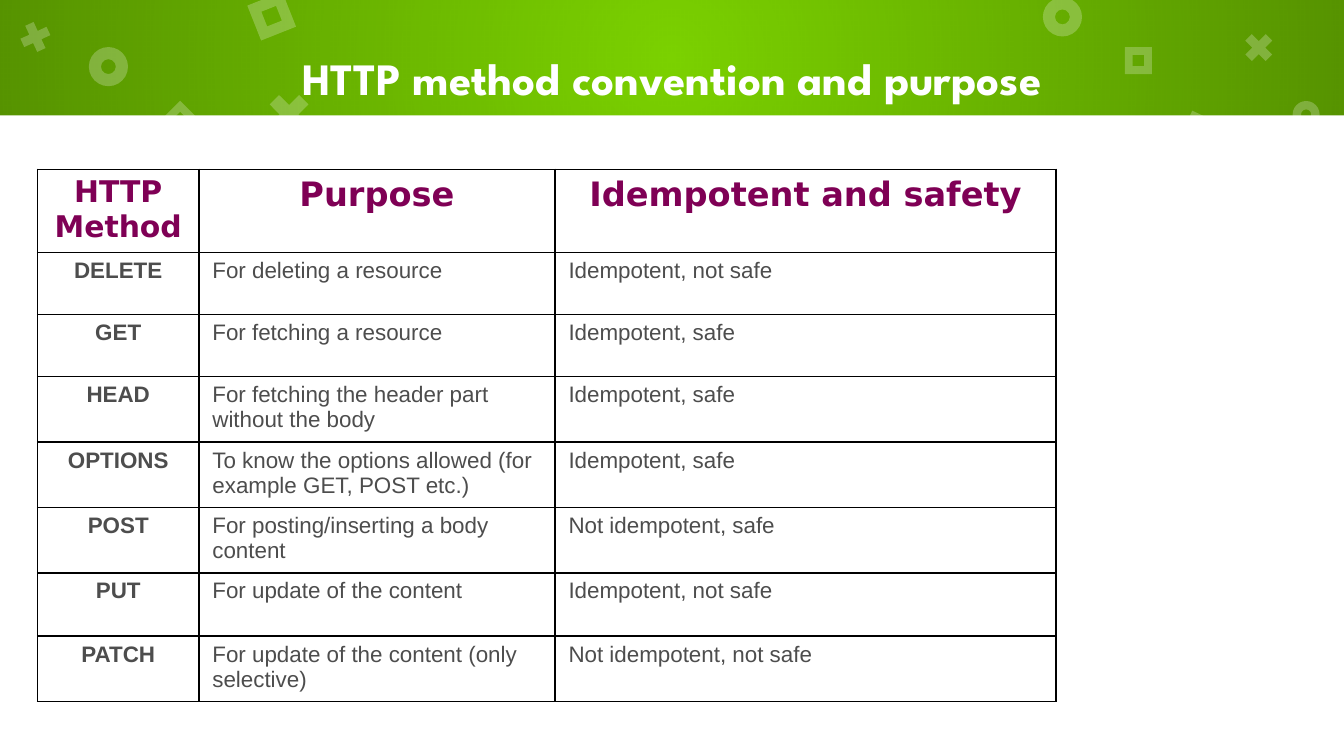
import lxml.etree
import pptx
import pptx.dml.color
import pptx.enum.shapes
import pptx.enum.text
import pptx.oxml
import pptx.oxml.ns
import pptx.util

Cm = pptx.util.Cm
Pt = pptx.util.Pt
RGBColor = pptx.dml.color.RGBColor
MSO_SHAPE = pptx.enum.shapes.MSO_SHAPE
PP_ALIGN = pptx.enum.text.PP_ALIGN
qn = pptx.oxml.ns.qn

GREEN = RGBColor(0x7B, 0xD1, 0x00)
WHITE = RGBColor(0xFF, 0xFF, 0xFF)
BLACK = RGBColor(0x00, 0x00, 0x00)
PURPLE = RGBColor(0x7F, 0x00, 0x55)
GREY = RGBColor(0x4D, 0x4D, 0x4D)

SLIDE_W, SLIDE_H, BAND_H = Cm(25.4), Cm(14.29), Cm(2.18)

DONUT, CROSS, FRAME = MSO_SHAPE.DONUT, MSO_SHAPE.MATH_MULTIPLY, MSO_SHAPE.FRAME
ADJUSTMENTS = {DONUT: 0.31, CROSS: 0.235, FRAME: 0.289}
ORNAMENTS = [
    (DONUT, 1.68, 0.89, 0.74, 0),
    (CROSS, 4.93, 1.63, 1.07, 0),
    (FRAME, 4.78, -0.05, 0.71, 338.4),
    (DONUT, 19.71, -0.05, 0.74, 0),
    (FRAME, 22.35, 2.21, 0.71, 25),
    (CROSS, 0.3, 0.33, 0.74, 20.4),
    (FRAME, 3.15, 2.01, 0.51, 45),
    (DONUT, 24.43, 1.91, 0.51, 0),
    (CROSS, 23.42, 0.53, 0.74, 0),
    (FRAME, 21.26, 0.89, 0.51, 0),
]

COL_WIDTHS = [3.05, 6.73, 9.47]
ROW_HEIGHTS = [1.55] + [1.17] * 2 + [1.2] * 5
HEADERS = [("HTTP Method", 16), ("Purpose", 18), ("Idempotent and safety", 18)]
METHODS = [
    ("DELETE", "For deleting a resource", "Idempotent, not safe"),
    ("GET", "For fetching a resource", "Idempotent, safe"),
    ("HEAD", "For fetching the header part without the body", "Idempotent, safe"),
    ("OPTIONS", "To know the options allowed (for example GET, POST etc.)",
     "Idempotent, safe"),
    ("POST", "For posting/inserting a body content", "Not idempotent, safe"),
    ("PUT", "For update of the content", "Idempotent, not safe"),
    ("PATCH", "For update of the content (only selective)",
     "Not idempotent, not safe"),
]


def add_plain_shape(s, kind, x, y, w, h, color):
    """Add a solid shape without line or shadow."""
    sp = s.shapes.add_shape(kind, x, y, w, h)
    sp.shadow.inherit = False
    sp.line.fill.background()
    sp.fill.solid()
    sp.fill.fore_color.rgb = color
    return sp


def style_paragraph(p, text, size, name, color, bold, align):
    """Write a paragraph in one uniform font."""
    p.text = text
    p.alignment = align
    p.font.size = Pt(size)
    p.font.name = name
    p.font.color.rgb = color
    p.font.bold = bold


def shade_radially(sp):
    """Fill a shape with black that darkens from clear centre to edge."""
    gradient = pptx.oxml.parse_xml(
        '<a:gradFill xmlns:a="http://schemas.openxmlformats.org/drawingml/2006/main"'
        ' rotWithShape="1"><a:gsLst>'
        f'<a:gs pos="0"><a:srgbClr val="{BLACK}"><a:alpha val="0"/></a:srgbClr></a:gs>'
        f'<a:gs pos="100000"><a:srgbClr val="{BLACK}"><a:alpha val="30000"/></a:srgbClr></a:gs>'
        '</a:gsLst><a:path path="circle">'
        '<a:fillToRect l="50000" t="50000" r="50000" b="50000"/></a:path></a:gradFill>')
    solid = sp._element.spPr.find(qn("a:solidFill"))
    solid.getparent().replace(solid, gradient)


def add_ornaments(s, x, y):
    """Scatter translucent white ornaments over the band."""
    for kind, dx, dy, size, rotation in ORNAMENTS:
        sp = add_plain_shape(s, kind, x + Cm(dx), y + Cm(dy), Cm(size), Cm(size), WHITE)
        sp.adjustments[0] = ADJUSTMENTS[kind]
        sp.rotation = rotation
        color = sp._element.spPr.find(qn("a:solidFill"))[0]
        lxml.etree.SubElement(color, qn("a:alpha")).set("val", "24000")


def add_title(s, x, y, w, h):
    """Add the centred slide title."""
    tf = s.shapes.add_textbox(x, y, w, h).text_frame
    tf.word_wrap = True
    tf.vertical_anchor = pptx.enum.text.MSO_ANCHOR.MIDDLE
    tf.margin_left = tf.margin_right = tf.margin_top = tf.margin_bottom = Cm(0.25)
    style_paragraph(tf.paragraphs[0], "HTTP method convention and purpose",
                    24, "League Spartan", WHITE, True, PP_ALIGN.CENTER)


def add_band(s, x, y, w, h):
    """Add the shaded band with its ornaments and title."""
    shade_radially(add_plain_shape(s, MSO_SHAPE.RECTANGLE, x, y, w, h, BLACK))
    add_plain_shape(s, MSO_SHAPE.RECTANGLE, x, y + h, w, SLIDE_H - y - h, WHITE)
    add_ornaments(s, x, y)
    add_title(s, x + Cm(2.41), y, w - Cm(4.82), Cm(2.95))


def add_borders(cell):
    """Draw a thin black line on all four sides of a cell."""
    tc_pr = cell._tc.get_or_add_tcPr()
    for i, side in enumerate(("lnL", "lnR", "lnT", "lnB")):
        ln = lxml.etree.Element(qn("a:" + side), w=str(Pt(1)))
        fill = lxml.etree.SubElement(ln, qn("a:solidFill"))
        lxml.etree.SubElement(fill, qn("a:srgbClr")).set("val", str(BLACK))
        tc_pr.insert(i, ln)


def fill_cell(cell, *style):
    """Write a clear, bordered cell."""
    cell.fill.background()
    cell.margin_top = cell.margin_bottom = Cm(0.11)
    add_borders(cell)
    style_paragraph(cell.text_frame.paragraphs[0], *style)


def add_method_table(s, x, y, w, h):
    """Add the table of HTTP methods."""
    table = s.shapes.add_table(len(ROW_HEIGHTS), len(COL_WIDTHS), x, y, w, h).table
    table.first_row = table.horz_banding = False
    for column, width in zip(table.columns, COL_WIDTHS):
        column.width = Cm(width)
    for row, height in zip(table.rows, ROW_HEIGHTS):
        row.height = Cm(height)
    for c, (text, size) in enumerate(HEADERS):
        fill_cell(table.cell(0, c), text, size, "DejaVu Sans", PURPLE, True,
                  PP_ALIGN.CENTER)
    for r, values in enumerate(METHODS, 1):
        for c, text in enumerate(values):
            align = PP_ALIGN.LEFT if c else PP_ALIGN.CENTER
            fill_cell(table.cell(r, c), text, 12, "Arial", GREY, c == 0, align)


def main():
    """Build and save the slide."""
    prs = pptx.Presentation()
    prs.slide_width, prs.slide_height = SLIDE_W, SLIDE_H
    s = prs.slides.add_slide(prs.slide_layouts[6])
    s.background.fill.solid()
    s.background.fill.fore_color.rgb = GREEN
    add_band(s, Cm(0), Cm(0), SLIDE_W, BAND_H)
    add_method_table(s, Cm(0.71), Cm(3.2), Cm(sum(COL_WIDTHS)), Cm(sum(ROW_HEIGHTS)))
    prs.save("out.pptx")


if __name__ == "__main__":
    main()
